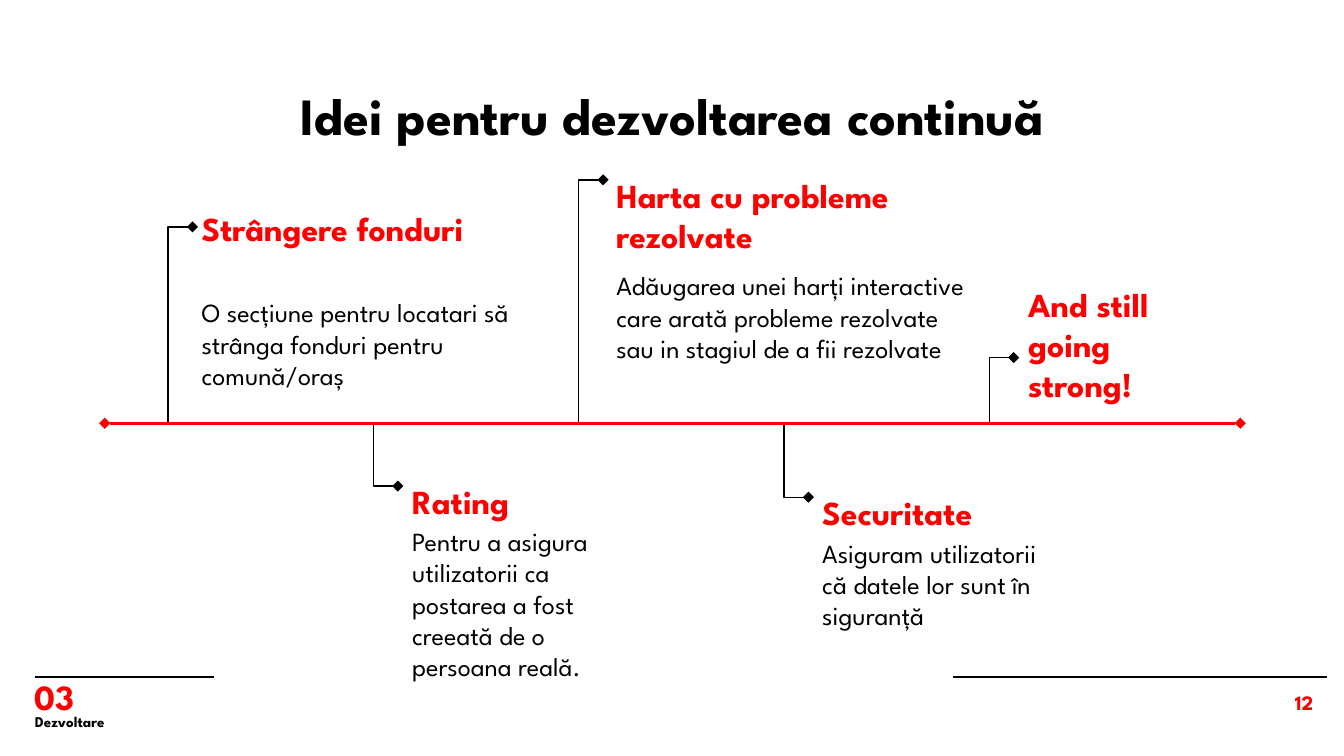
from dataclasses import dataclass

from lxml.etree import SubElement
from pptx import Presentation
from pptx.dml.color import RGBColor
from pptx.enum.shapes import MSO_CONNECTOR
from pptx.enum.text import MSO_ANCHOR, PP_ALIGN
from pptx.oxml.ns import qn
from pptx.util import Cm, Pt

FONT = "League Spartan"
RED = RGBColor(0xFD, 0x00, 0x00)
BLACK = RGBColor(0x00, 0x00, 0x00)

AXIS_LEFT, AXIS_RIGHT, AXIS_Y = 1.98, 23.44, 8.0
FIRST_STEM, STEM_STEP, STEM_ARM = 3.18, 3.88, 0.46
HEADING_HEIGHT = 0.69


@dataclass
class Idea:
    heading: str
    body: str
    box: tuple
    tip_y: float
    body_offset: float = 0


IDEAS = [
    Idea("Strângere fonduri",
         "O secțiune pentru locatari să strânga fonduri pentru comună/oraș",
         (3.56, 3.68, 6.4, 3.56), 4.29, 1.68),
    Idea("Rating",
         "Pentru a asigura utilizatorii ca postarea a fost creeată de o persoana reală.",
         (7.54, 8.84, 4.57, 4.22), 9.19, 0.84),
    Idea("Harta cu probleme rezolvate",
         "Adăugarea unei harți interactive care arată probleme rezolvate "
         "sau in stagiul de a fii rezolvate",
         (11.4, 3.05, 7.14, 3.68), 3.4, 1.8),
    Idea("Securitate",
         "Asiguram utilizatorii că datele lor sunt în siguranță",
         (15.29, 9.04, 4.57, 2.75), 9.4, 0.86),
    Idea("And still going strong!", "", (19.18, 5.66, 3.89, 2.24), 6.76),
]


def add_text(page, box, text, size, color=BLACK, bold=True,
             align=PP_ALIGN.LEFT, anchor=MSO_ANCHOR.TOP, inset_y=0.25):
    frame = page.shapes.add_textbox(*map(Cm, box)).text_frame
    frame.word_wrap = True
    frame.vertical_anchor = anchor
    frame.margin_left = frame.margin_right = Cm(0.25)
    frame.margin_top = frame.margin_bottom = Cm(inset_y)
    frame.text = text
    para = frame.paragraphs[0]
    para.alignment = align
    font = para.runs[0].font
    font.name, font.size, font.bold = FONT, Pt(size), bold
    font.color.rgb = color


def add_line(page, start, end, color=BLACK, width=0.75, diamonds=(),
             kind=MSO_CONNECTOR.STRAIGHT):
    """Draw a line; diamonds lists the ends to mark, headEnd before tailEnd."""
    line = page.shapes.add_connector(kind, *map(Cm, (*start, *end)))
    line.line.color.rgb = color
    line.line.width = Pt(width)
    properties = line._element.spPr
    for end_name in diamonds:
        SubElement(properties.find(qn("a:ln")), qn(f"a:{end_name}"), type="diamond")
    SubElement(properties, qn("a:effectLst"))
    return line


def add_stem(page, x, tip_y):
    """Draw a one-corner connector from a label's tip to the axis."""
    stem = add_line(page, (x + STEM_ARM, tip_y), (x, AXIS_Y),
                    diamonds=["headEnd"], kind=MSO_CONNECTOR.ELBOW)
    stem._element.spPr.find(qn("a:prstGeom")).set("prst", "bentConnector2")


def add_idea(page, idea):
    left, top, width, height = idea.box
    if not idea.body:
        add_text(page, idea.box, idea.heading, 18, RED, anchor=MSO_ANCHOR.BOTTOM)
        return
    add_text(page, (left, top, width, HEADING_HEIGHT), idea.heading, 18, RED)
    body_box = (left, top + idea.body_offset, width, height - idea.body_offset)
    add_text(page, body_box, idea.body, 14, bold=False)


def add_timeline(page):
    for index, idea in enumerate(IDEAS):
        add_stem(page, FIRST_STEM + index * STEM_STEP, idea.tip_y)
        add_idea(page, idea)
    add_line(page, (AXIS_LEFT, AXIS_Y), (AXIS_RIGHT, AXIS_Y), RED, 1.5,
             diamonds=["headEnd", "tailEnd"])


def add_footer(page, box):
    left, top, width, height = box
    right = left + width
    add_line(page, (left, top), (left + 3.38, top))
    add_line(page, (right - 7.06, top), (right, top))
    add_text(page, (left - 0.25, top + 0.3, 4.7, 0.46), "03", 19, RED,
             anchor=MSO_ANCHOR.BOTTOM, inset_y=0)
    add_text(page, (left - 0.25, top + 0.51, 8.41, 0.64), "Dezvoltare", 8,
             anchor=MSO_ANCHOR.MIDDLE, inset_y=0)
    add_text(page, (right - 1.63, top, 1.63, height), "12", 11, RED,
             align=PP_ALIGN.RIGHT)


def main():
    deck = Presentation()
    deck.slide_width, deck.slide_height = Cm(25.4), Cm(14.29)
    page = deck.slides.add_slide(deck.slide_layouts[6])
    add_text(page, (4.09, 1.32, 17.22, 1.6), "Idei pentru dezvoltarea continuă",
             28, align=PP_ALIGN.CENTER)
    add_timeline(page)
    add_footer(page, (0.66, 12.8, 24.41, 1.09))
    deck.save("out.pptx")


if __name__ == "__main__":
    main()
